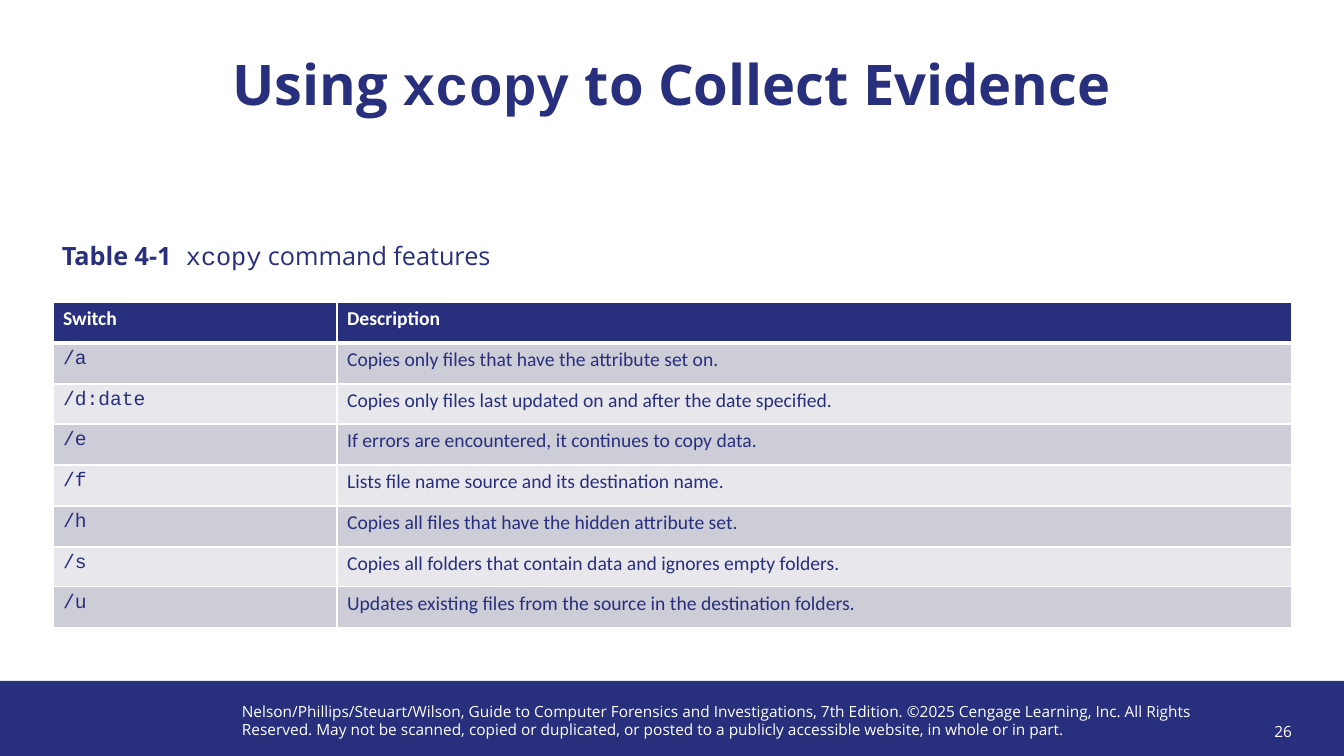
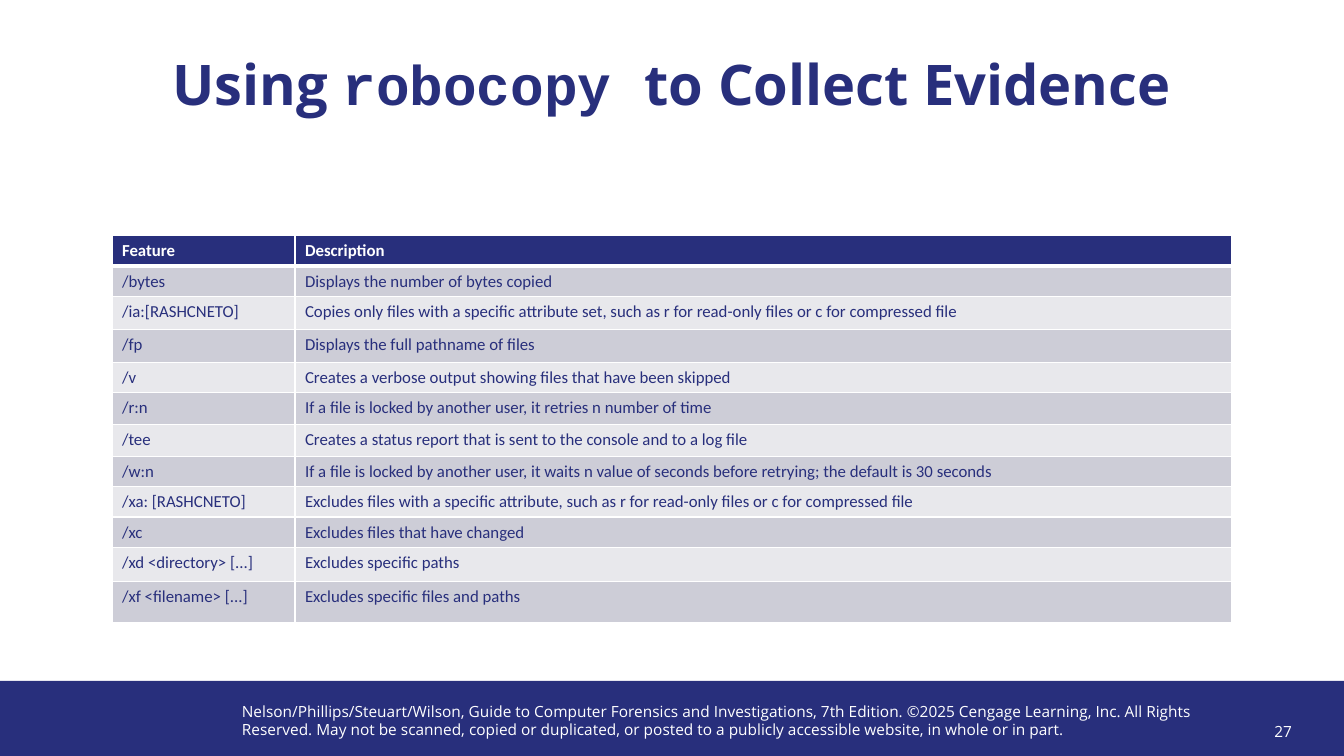
from dataclasses import dataclass

import pptx
import pptx.dml.color
import pptx.enum.shapes
import pptx.enum.text
import pptx.oxml
import pptx.oxml.ns
import pptx.util
from lxml import etree

EMU_PER_PX = 914400 / 100.8
SLIDE_W, SLIDE_H = 1344, 756
TITLE_ONLY = 5

ALIGN = pptx.enum.text.PP_ALIGN
ANCHOR = pptx.enum.text.MSO_ANCHOR


@dataclass(frozen=True)
class Theme:
    navy: str = "282F7C"
    white: str = "FFFFFF"
    bands: tuple = ("CDCDD7", "E8E8EC")
    sans: str = "Open Sans"
    code: str = "Courier New"
    cell: str = "Calibri"
    title_size: int = 40
    caption_size: int = 18
    footer_size: int = 11
    grid_line: int = 1
    header_line: int = 3


THEME = Theme()

FOOTER = (
    "Nelson/Phillips/Steuart/Wilson, Guide to Computer Forensics and "
    "Investigations, 7th Edition. ©2025 Cengage Learning, Inc. All Rights "
    "Reserved. May not be scanned, copied or duplicated, or posted to a "
    "publicly accessible website, in whole or in part."
)

XCOPY_ROWS = [
    ("Switch", "Description"),
    ("/a", "Copies only files that have the attribute set on."),
    ("/d:date", "Copies only files last updated on and after the date specified."),
    ("/e", "If errors are encountered, it continues to copy data."),
    ("/f", "Lists file name source and its destination name."),
    ("/h", "Copies all files that have the hidden attribute set."),
    ("/s", "Copies all folders that contain data and ignores empty folders."),
    ("/u", "Updates existing files from the source in the destination folders."),
]

ROBOCOPY_ROWS = [
    ("Feature", "Description"),
    ("/bytes", "Displays the number of bytes copied"),
    ("/ia:[RASHCNETO]", "Copies only files with a specific attribute set, "
     "such as r for read-only files or c for compressed file"),
    ("/fp", "Displays the full pathname of files"),
    ("/v", "Creates a verbose output showing files that have been skipped"),
    ("/r:n", "If a file is locked by another user, it retries n number of time"),
    ("/tee", "Creates a status report that is sent to the console and to a log file"),
    ("/w:n", "If a file is locked by another user, it waits n value of seconds "
     "before retrying; the default is 30 seconds"),
    ("/xa: [RASHCNETO]", "Excludes files with a specific attribute, "
     "such as r for read-only files or c for compressed file"),
    ("/xc", "Excludes files that have changed"),
    ("/xd <directory> [...]", "Excludes specific paths"),
    ("/xf <filename> [...]", "Excludes specific files and paths"),
]


# Units, colours and text

def px(n):
    return pptx.util.Emu(round(n * EMU_PER_PX))


def rgb(color):
    return pptx.dml.color.RGBColor.from_string(color)


def style_run(r, size, color, font=THEME.sans, bold=False):
    r.font.size = pptx.util.Pt(size)
    r.font.color.rgb = rgb(color)
    r.font.name = font
    r.font.bold = bold


def add_runs(p, parts, size, color):
    """Fill a paragraph from (text, font, bold) parts."""
    for text, font, bold in parts:
        r = p.add_run()
        r.text = text
        style_run(r, size, color, font, bold)


def add_tab_stop(p, position):
    pPr = p._p.get_or_add_pPr()
    tabs = etree.SubElement(pPr, pptx.oxml.ns.qn("a:tabLst"))
    etree.SubElement(tabs, pptx.oxml.ns.qn("a:tab"),
                     pos=str(px(position)), algn="l")


def add_textbox(slide, box, anchor=ANCHOR.TOP):
    tf = slide.shapes.add_textbox(*map(px, box)).text_frame
    tf.word_wrap = True
    tf.vertical_anchor = anchor
    return tf


# Title, band and footer shared by every slide

def add_footer(slide, number):
    band = slide.shapes.add_shape(
        pptx.enum.shapes.MSO_SHAPE.RECTANGLE,
        *map(px, (0, 681, SLIDE_W, SLIDE_H - 681)))
    band.shadow.inherit = False
    band.fill.solid()
    band.fill.fore_color.rgb = rgb(THEME.navy)
    band.line.fill.background()

    for text, box, anchor, align in (
        (FOOTER, (232, 697, 988, 47), ANCHOR.TOP, ALIGN.LEFT),
        (str(number), (1222, 711, 80, 40), ANCHOR.MIDDLE, ALIGN.RIGHT),
    ):
        tf = add_textbox(slide, box, anchor)
        tf.text = text
        p = tf.paragraphs[0]
        p.alignment = align
        style_run(p.runs[0], THEME.footer_size, THEME.white)


def set_title(slide, parts):
    sp = slide.shapes.title
    sp.left, sp.top, sp.width, sp.height = map(px, (52, 52, 1239, 134))
    tf = sp.text_frame
    tf.word_wrap = True
    tf.auto_size = pptx.enum.text.MSO_AUTO_SIZE.NONE
    tf.vertical_anchor = ANCHOR.TOP
    p = tf.paragraphs[0]
    p.alignment = ALIGN.CENTER
    p.line_spacing = 0.9
    add_runs(p, [(text, font, True) for text, font in parts],
             THEME.title_size, THEME.navy)


def add_slide(prs, number, title_parts):
    slide = prs.slides.add_slide(prs.slide_layouts[TITLE_ONLY])
    add_footer(slide, number)
    set_title(slide, title_parts)
    return slide


# Caption and tables

def add_caption(slide, box, parts, tab):
    p = add_textbox(slide, box).paragraphs[0]
    add_tab_stop(p, tab)
    add_runs(p, parts, THEME.caption_size, THEME.navy)


def set_borders(cell, top, bottom):
    tcPr = cell._tc.get_or_add_tcPr()
    widths = {"L": THEME.grid_line, "R": THEME.grid_line, "T": top, "B": bottom}
    for side, width in widths.items():
        tcPr.append(pptx.oxml.parse_xml(
            f'<a:ln{side} {pptx.oxml.ns.nsdecls("a")} w="{pptx.util.Pt(width)}">'
            f'<a:solidFill><a:srgbClr val="{THEME.white}"/></a:solidFill>'
            f'</a:ln{side}>'))


def style_cell(cell, text, row, size, font):
    header = row == 0
    set_borders(cell,
                top=THEME.header_line if row == 1 else THEME.grid_line,
                bottom=THEME.header_line if header else THEME.grid_line)
    cell.fill.solid()
    cell.fill.fore_color.rgb = rgb(
        THEME.navy if header else THEME.bands[(row - 1) % 2])
    cell.text = text
    style_run(cell.text_frame.paragraphs[0].runs[0], size,
              THEME.white if header else THEME.navy,
              THEME.cell if header else font, header)


def add_switch_table(slide, left, top, col_widths, row_heights, rows, size,
                     switch_font=THEME.cell):
    frame = slide.shapes.add_table(
        len(rows), len(col_widths), px(left), px(top),
        px(sum(col_widths)), px(sum(row_heights)))
    table = frame.table
    table.horz_banding = False
    for column, width in zip(table.columns, col_widths):
        column.width = px(width)
    fonts = (switch_font, THEME.cell)
    for i, (texts, height) in enumerate(zip(rows, row_heights)):
        table.rows[i].height = px(height)
        for j, (text, font) in enumerate(zip(texts, fonts)):
            style_cell(table.cell(i, j), text, i, size, font)


# Slides

def add_xcopy_slide(prs):
    slide = add_slide(prs, 26, [
        ("Using ", THEME.sans),
        ("xcopy", THEME.code),
        (" to Collect Evidence", THEME.sans),
    ])
    add_caption(slide, (52, 235, 524, 40), [
        ("Table 4-1\t", THEME.sans, True),
        ("xcopy", THEME.code, False),
        (" command features", THEME.sans, False),
    ], tab=124)
    add_switch_table(slide, 53, 302, (284, 955), [41, 41, 40, 41] * 2,
                     XCOPY_ROWS, size=14, switch_font=THEME.code)


def add_robocopy_slide(prs):
    slide = add_slide(prs, 27, [
        ("Using ", THEME.sans),
        ("robocopy ", THEME.code),
        ("to Collect Evidence", THEME.sans),
    ])
    add_switch_table(slide, 112, 235, (183, 937),
                     [31, 30, 33, 33, 29, 32, 32, 30, 30, 30, 34, 41],
                     ROBOCOPY_ROWS, size=12)


def main():
    prs = pptx.Presentation()
    prs.slide_width, prs.slide_height = px(SLIDE_W), px(SLIDE_H)
    add_xcopy_slide(prs)
    add_robocopy_slide(prs)
    prs.save("out.pptx")


if __name__ == "__main__":
    main()
